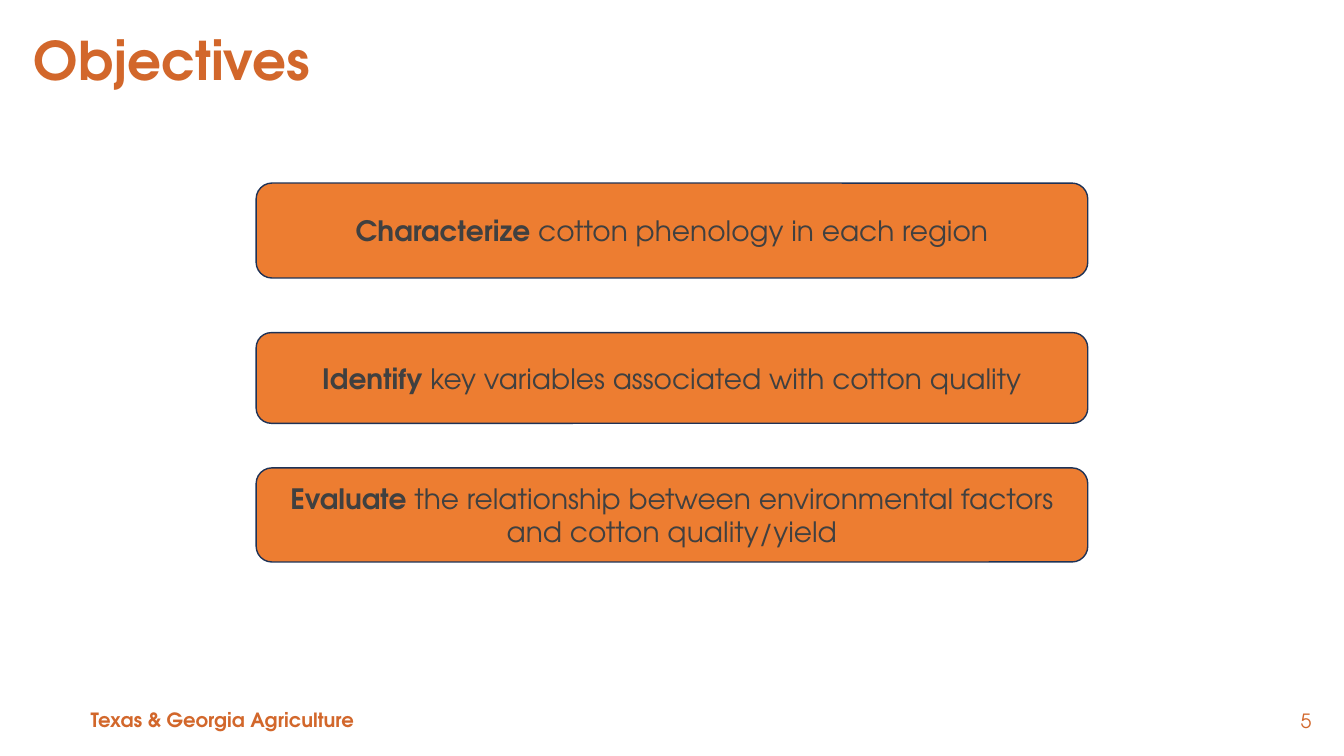
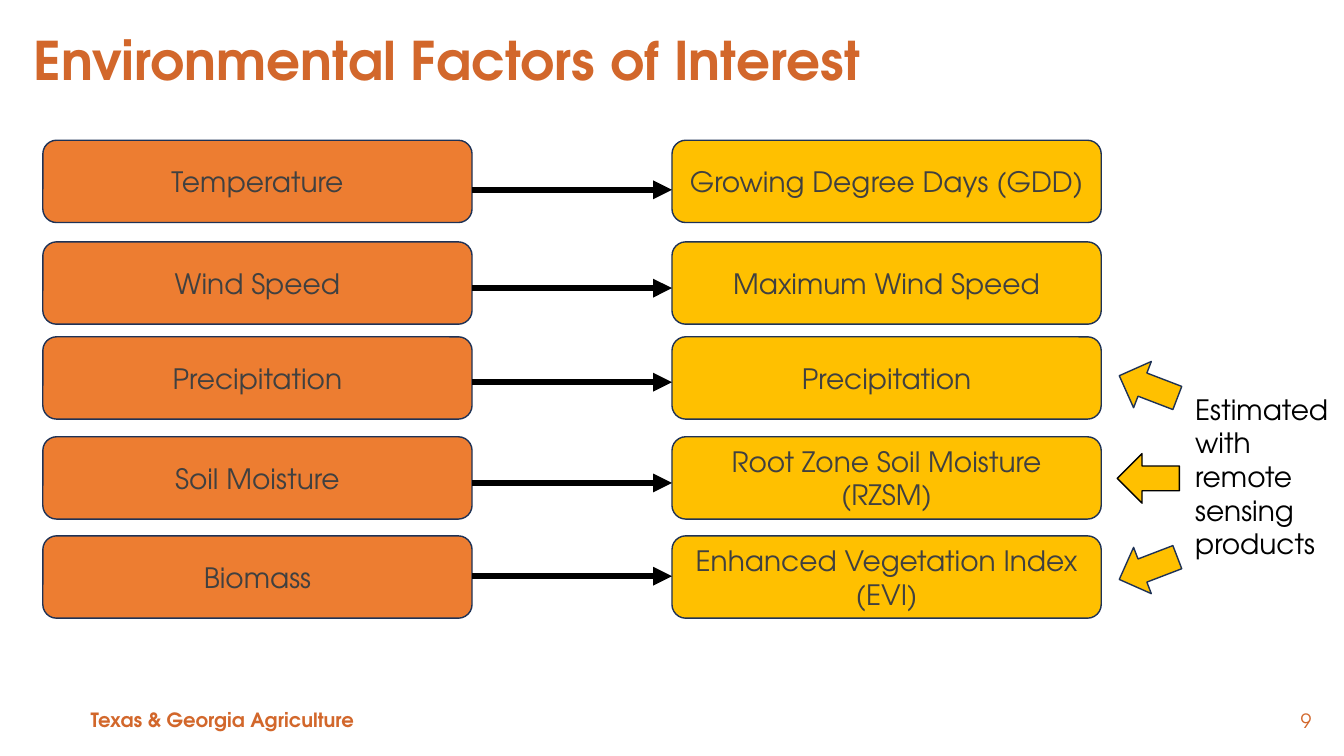
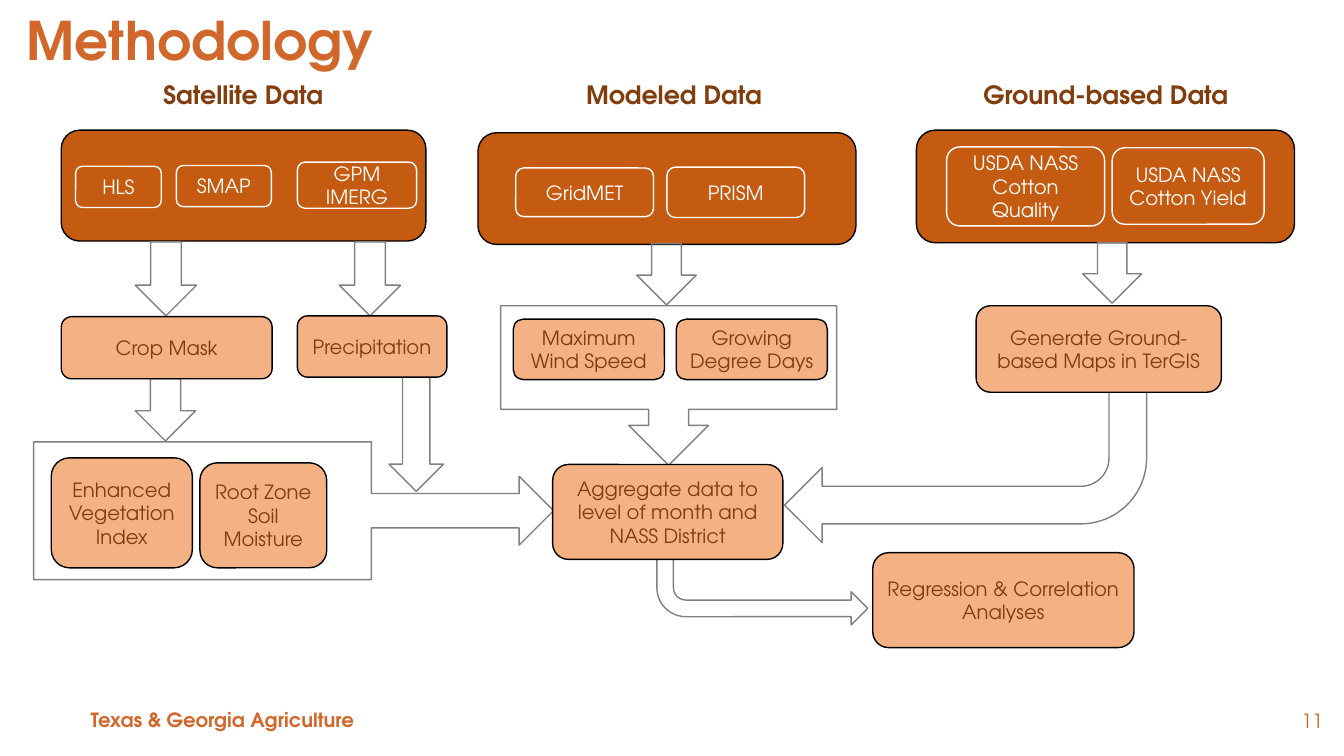
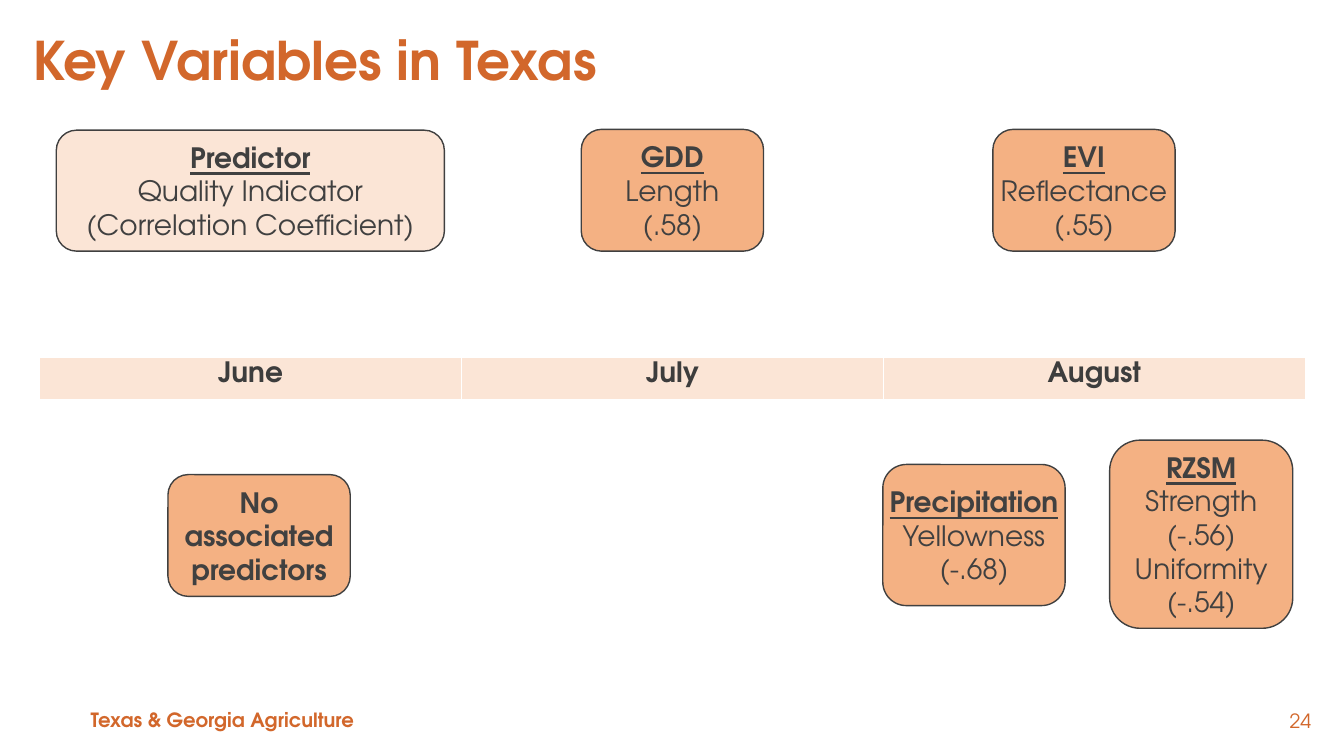
from lxml.etree import SubElement
from pptx import Presentation
from pptx.dml.color import RGBColor
from pptx.enum.shapes import MSO_CONNECTOR, MSO_SHAPE as Preset
from pptx.enum.text import MSO_ANCHOR as Anchor, PP_ALIGN as Align
from pptx.oxml.ns import qn
from pptx.util import Inches, Pt

FONT = "TeX Gyre Adventor"
RUST = RGBColor(0xD2, 0x67, 0x2B)
ORANGE = RGBColor(0xED, 0x7D, 0x31)
GOLD = RGBColor(0xFF, 0xC0, 0x00)
BURNT = RGBColor(0xC5, 0x5A, 0x11)
PEACH = RGBColor(0xF4, 0xB1, 0x83)
CREAM = RGBColor(0xFB, 0xE5, 0xD6)
BROWN = RGBColor(0x83, 0x3C, 0x0B)
NAVY = RGBColor(0x1E, 0x32, 0x56)
CHARCOAL = RGBColor(0x40, 0x40, 0x40)
INK = RGBColor(0x3D, 0x3D, 0x3D)
GREY = RGBColor(0x80, 0x80, 0x80)
BLACK = RGBColor(0x00, 0x00, 0x00)
WHITE = RGBColor(0xFF, 0xFF, 0xFF)

presentation = Presentation()
presentation.slide_width = Inches(13.33)
presentation.slide_height = Inches(7.5)
COLUMN = presentation.slide_width / 160
ROW = presentation.slide_height / 90


def draw(slide, preset, left, top, width, height, fill=None, line=None, rotation=0):
    place = [round(n) for n in (left * COLUMN, top * ROW, width * COLUMN, height * ROW)]
    if preset is None:
        return slide.shapes.add_textbox(*place)
    shape = slide.shapes.add_shape(preset, *place)
    shape.shadow.inherit = False
    shape.rotation = rotation
    if fill is None:
        shape.fill.background()
    else:
        shape.fill.solid()
        shape.fill.fore_color.rgb = fill
    if line is None:
        shape.line.fill.background()
    else:
        shape.line.color.rgb = line
        shape.line.width = Pt(1)
    return shape


def write(frame, text, lead="", size=20, color=CHARCOAL, bold=False, underline=False,
          align=Align.CENTER, anchor=Anchor.MIDDLE, wrap=True, spacing=None):
    frame.word_wrap = wrap
    frame.vertical_anchor = anchor
    for index, words in enumerate(text.split("\n")):
        paragraph = frame.add_paragraph() if index else frame.paragraphs[0]
        paragraph.alignment = align
        paragraph.line_spacing = spacing
        runs = [(words, bold, False)]
        if index == 0:
            runs.insert(0, (lead, True, underline))
        for run_text, run_bold, run_underline in runs:
            if run_text:
                run = paragraph.add_run()
                run.text = run_text
                run.font.name = FONT
                run.font.size = Pt(size)
                run.font.color.rgb = color
                run.font.bold = run_bold
                run.font.underline = run_underline


slides = []
for title, number, title_left, title_top, number_left in [
    ("Objectives", "5", 2.8, 3.5, 150.6),
    ("Environmental Factors of Interest", "9", 2.8, 3.5, 150.6),
    ("Methodology", "11", 2, 1.1, 152),
    ("Key Variables in Texas", "24", 2.8, 3.5, 150.6),
]:
    slide = presentation.slides.add_slide(presentation.slide_layouts[6])
    slides.append(slide)
    write(draw(slide, None, title_left, title_top, 154.3, 7.7).text_frame, title, size=38,
          color=RUST, bold=True, align=Align.LEFT, anchor=Anchor.TOP, spacing=0.9)
    write(draw(slide, None, 9.6, 83, 140.9, 5.6).text_frame, "Texas & Georgia Agriculture",
          size=14, color=RUST, bold=True, align=Align.LEFT, spacing=0.9)
    write(draw(slide, None, number_left, 83, 6.7, 5.6).text_frame, number,
          size=14, color=RUST, align=Align.RIGHT)
objectives, factors, methodology, variables = slides

for top, height, verb, goal in [
    (21.8, 11.3, "Characterize", " cotton phenology in each region"),
    (39.6, 10.8, "Identify", " key variables associated with cotton quality"),
    (55.7, 11.2, "Evaluate", " the relationship between environmental factors and cotton quality/yield"),
]:
    box = draw(objectives, Preset.ROUNDED_RECTANGLE, 30.5, top, 99, height, ORANGE, NAVY)
    write(box.text_frame, goal, lead=verb)

for top, arrow_row, factor, measure in [
    (16.7, 22.6, "Temperature", "Growing Degree Days (GDD)"),
    (28.8, 34.3, "Wind Speed", "Maximum Wind Speed"),
    (40.1, 45.5, "Precipitation", "Precipitation"),
    (52, 57.5, "Soil Moisture", "Root Zone Soil Moisture (RZSM)"),
    (63.8, 68.6, "Biomass", "Enhanced Vegetation Index (EVI)"),
]:
    for left, fill, label in [(5.1, ORANGE, factor), (80, GOLD, measure)]:
        box = draw(factors, Preset.ROUNDED_RECTANGLE, left, top, 51.1, 9.8, fill, NAVY)
        write(box.text_frame, label)
    level = round(arrow_row * ROW)
    arrow = factors.shapes.add_connector(
        MSO_CONNECTOR.STRAIGHT, round(56.2 * COLUMN), level, round(80 * COLUMN), level)
    arrow.line.color.rgb = BLACK
    arrow.line.width = Pt(4.5)
    SubElement(arrow.line._get_or_add_ln(), qn("a:tailEnd"), type="triangle")
    SubElement(arrow._element.spPr, qn("a:effectLst"))

write(draw(factors, None, 141.1, 46.1, 18.9, 21.4).text_frame,
      "Estimated with remote sensing products", color=BLACK, align=Align.LEFT, anchor=Anchor.TOP)
for top, rotation, line in [(43.1, 201, NAVY), (54, 180, BLACK), (64.7, 159, NAVY)]:
    draw(factors, Preset.RIGHT_ARROW, 133, top, 7.4, 5.9, GOLD, line, rotation)

for heading_left, heading, panel in [
    (10.1, "Satellite Data", (7.3, 15.5, 43.4, 13.2)),
    (61.4, "Modeled Data", (56.9, 15.8, 45, 13.3)),
    (112.8, "Ground-based Data", (109.1, 15.5, 45, 13.4)),
]:
    label = draw(methodology, Preset.ROUNDED_RECTANGLE, heading_left, 8.6, 37.7, 5.2)
    write(label.text_frame, heading, size=18, color=BROWN, bold=True)
    draw(methodology, Preset.ROUNDED_RECTANGLE, *panel, BURNT, BLACK)

for preset, place in [
    (Preset.DOWN_ARROW, (16.1, 28.8, 7.3, 8.8)),
    (Preset.DOWN_ARROW, (40.4, 28.8, 7.3, 8.8)),
    (Preset.DOWN_ARROW, (75.8, 29, 7.1, 7.3)),
    (Preset.DOWN_ARROW, (128.9, 28.9, 7, 7.2)),
    (Preset.DOWN_ARROW, (16.1, 45.1, 7.2, 7.4)),
    (Preset.DOWN_ARROW, (46.3, 44.9, 6.5, 13.6)),
    (Preset.DOWN_ARROW_CALLOUT, (59.6, 36.4, 40, 19)),
    (Preset.RIGHT_ARROW_CALLOUT, (4, 52.6, 61.9, 16.4)),
]:
    draw(methodology, preset, *place, line=GREY)
draw(methodology, Preset.BENT_ARROW, 93.4, 46.7, 43.1, 17.9, line=GREY, rotation=180)
result_arrow = draw(methodology, Preset.BENT_ARROW, 78.2, 66.5, 25.1, 7.9, line=GREY, rotation=180)
result_arrow._element.spPr.get_or_add_xfrm().set("flipH", "1")

sources = [
    ("HLS", (9, 19.8, 10.2, 4.9)),
    ("SMAP", (21, 19.7, 11.3, 4.9)),
    ("GPM IMERG", (35.4, 19.3, 14.2, 5.5)),
    ("GridMET", (61.4, 20, 16.4, 5.8)),
    ("PRISM", (79.4, 19.9, 16.4, 6)),
    ("USDA NASS Cotton Quality", (112.7, 17.5, 18.8, 9.4)),
    ("USDA NASS Cotton Yield", (132.4, 17.6, 18.1, 9.1)),
]
steps = [
    ("Crop Mask", (7.3, 37.7, 25.1, 7.4)),
    ("Precipitation", (35.4, 37.6, 17.8, 7.3)),
    ("Maximum Wind Speed", (61.1, 38, 18, 7.2)),
    ("Growing Degree Days", (80.5, 38, 18, 7.2)),
    ("Generate Ground-based Maps in TerGIS", (116.2, 36.4, 29.2, 10.3)),
    ("Enhanced Vegetation Index", (6.1, 54.5, 16.8, 13.1)),
    ("Root Zone Soil Moisture", (23.8, 55.1, 15.1, 12.5)),
    ("Aggregate data to level of month and NASS District", (65.8, 55.3, 27.4, 11.3)),
    ("Regression & Correlation Analyses", (103.9, 65.8, 31.1, 11.3)),
]
for entries, fill, line, color in [(sources, BURNT, WHITE, WHITE), (steps, PEACH, BLACK, BROWN)]:
    for label, place in entries:
        box = draw(methodology, Preset.ROUNDED_RECTANGLE, *place, fill, line)
        write(box.text_frame, label, size=14, color=color)

months = ["June", "July", "August"]
timeline = variables.shapes.add_table(
    1, len(months), round(4.7 * COLUMN), round(42.5 * ROW),
    round(150.7 * COLUMN), round(4.9 * ROW)).table
for cell, month in zip(timeline.rows[0].cells, months):
    properties = cell._tc.get_or_add_tcPr()
    for side, width in [("lnL", 1), ("lnR", 1), ("lnT", 1), ("lnB", 3)]:
        border = SubElement(properties, qn(f"a:{side}"), w=str(Pt(width)))
        SubElement(SubElement(border, qn("a:solidFill")), qn("a:srgbClr"), val=str(WHITE))
    cell.fill.solid()
    cell.fill.fore_color.rgb = CREAM
    write(cell.text_frame, month, color=INK, bold=True)

for predictor, results, fill, place in [
    ("Predictor", "\nQuality Indicator\n(Correlation Coefficient)", CREAM, (6.7, 15.5, 46.2, 14.4)),
    ("GDD", "\nLength\n(.58)", PEACH, (69.2, 15.4, 21.7, 14.5)),
    ("EVI", "\nReflectance\n(.55)", PEACH, (118.2, 15.4, 21.7, 14.5)),
    ("No", "\nassociated\npredictors", PEACH, (20, 56.5, 21.7, 14.5)),
    ("Precipitation", "\nYellowness\n(-.68)", PEACH, (105.1, 55.3, 21.7, 16.8)),
    ("RZSM", "\nStrength\n(-.56)\nUniformity\n(-.54)", PEACH, (132.1, 52.4, 21.8, 22.4)),
]:
    box = draw(variables, Preset.ROUNDED_RECTANGLE, *place, fill, CHARCOAL)
    empty_month = predictor == "No"
    write(box.text_frame, results, lead=predictor, bold=empty_month,
          underline=not empty_month, wrap=False)

presentation.save("out.pptx")
